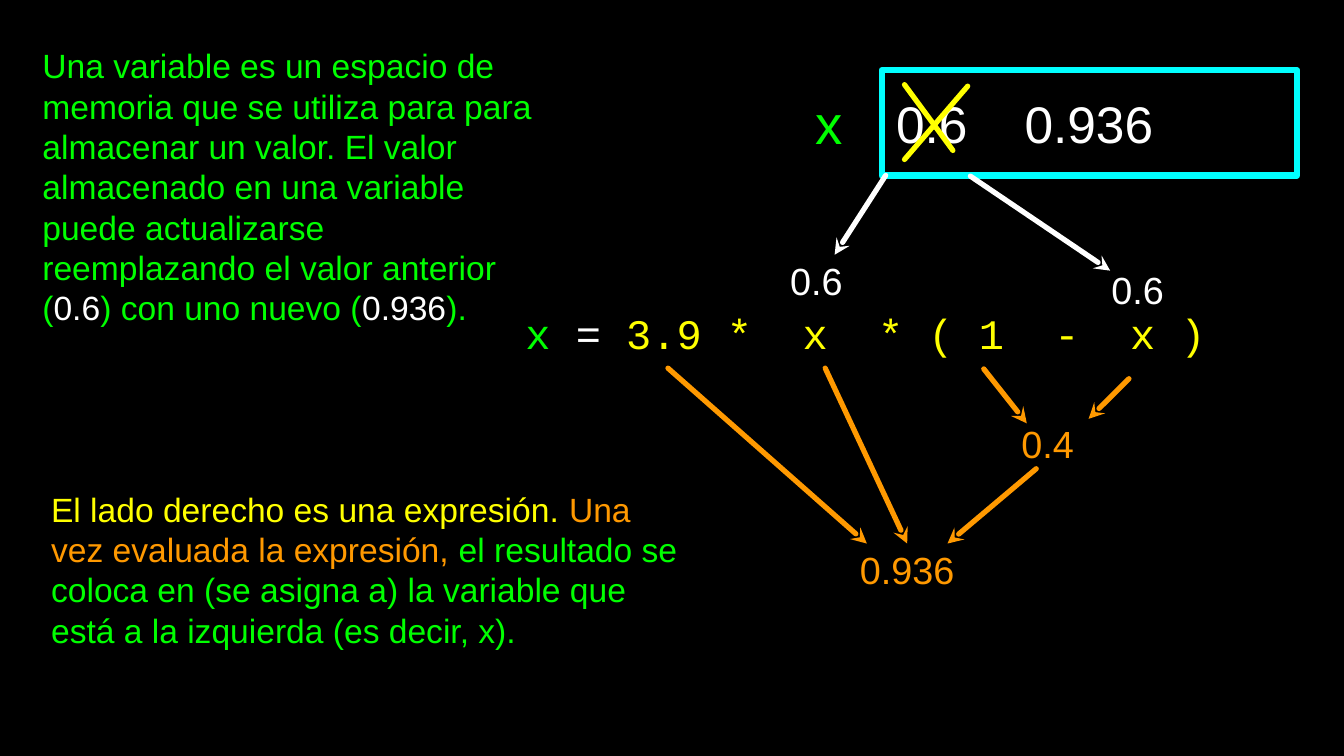
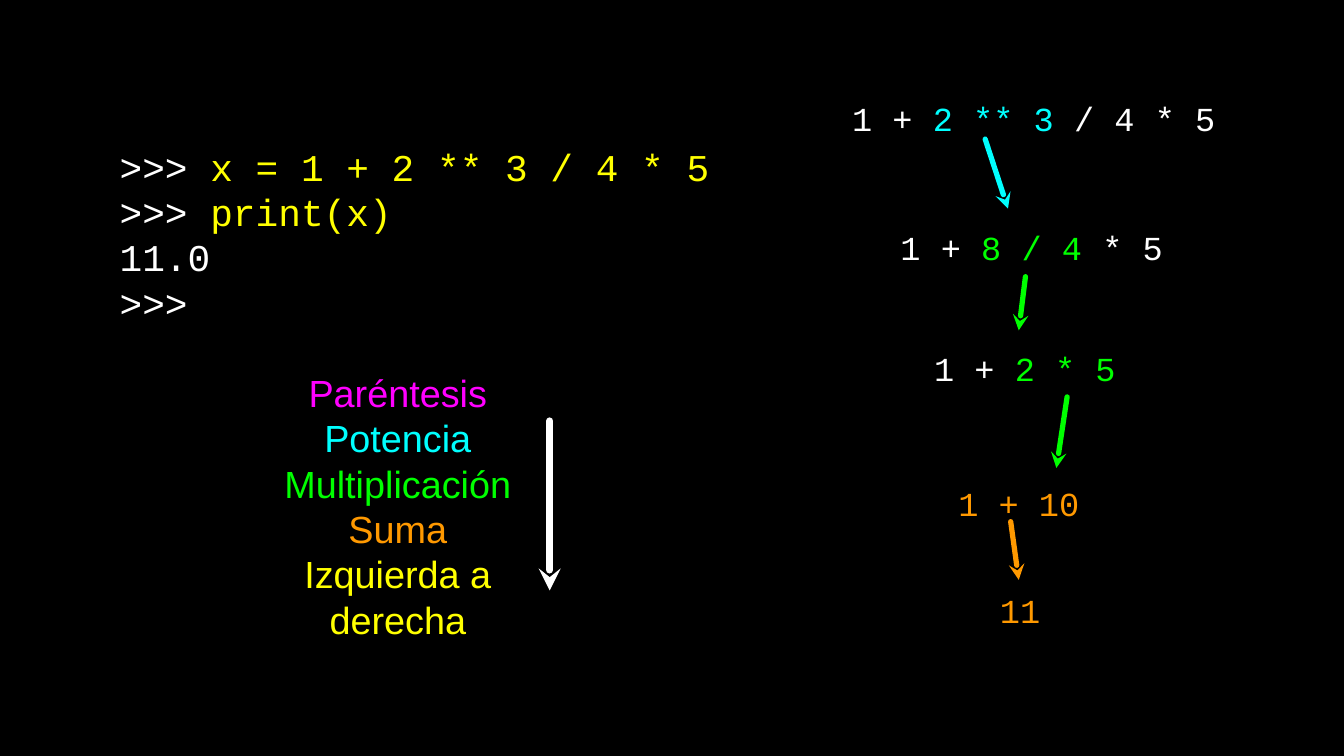
from dataclasses import dataclass
from typing import Any, NamedTuple

import pptx
import pptx.dml.color
import pptx.enum.shapes
import pptx.enum.text
import pptx.oxml
import pptx.oxml.ns
import pptx.util

Align = pptx.enum.text.PP_ALIGN
Anchor = pptx.enum.text.MSO_ANCHOR


@dataclass(frozen=True)
class Theme:
    black: str = "000000"
    white: str = "FFFFFF"
    green: str = "00FF00"
    yellow: str = "FFFF00"
    orange: str = "FF9900"
    cyan: str = "00FFFF"
    magenta: str = "FF00FF"
    prose_font: str = "Arial"
    code_font: str = "Courier New"
    body: int = 32
    value: int = 36
    expression: int = 40
    memory: int = 49
    name: int = 52
    leading: float = 1.2
    stroke: float = 5
    thick_stroke: float = 7
    frame_stroke: float = 6


THEME = Theme()
WIDTH, HEIGHT = 17.78, 10.0


class Span(NamedTuple):
    text: str
    color: str


class Area(NamedTuple):
    """Left, top, width and height in percent of the slide."""
    left: float
    top: float
    width: float
    height: float


class Inset(NamedTuple):
    """Text margins in inches."""
    left: float = 0
    top: float = 0
    right: float = 0
    bottom: float = 0


PLAIN = Inset()
CODE = Inset(top=0.1)


@dataclass(frozen=True)
class TextBlock:
    area: Area
    lines: list[list[Span]]
    size: int
    font: str = THEME.prose_font
    align: Align = Align.LEFT
    anchor: Anchor = Anchor.MIDDLE
    inset: Inset = PLAIN


@dataclass(frozen=True)
class Stroke:
    """A line in percent of the slide; the arrowhead sits at its tip."""
    tip: tuple[float, float]
    root: tuple[float, float]
    color: str = THEME.orange
    weight: float = THEME.stroke
    arrow: bool = True


def across(share: float) -> int:
    return pptx.util.Inches(WIDTH * share / 100)


def down(share: float) -> int:
    return pptx.util.Inches(HEIGHT * share / 100)


def rgb(color: str) -> pptx.dml.color.RGBColor:
    return pptx.dml.color.RGBColor.from_string(color)


def place(area: Area) -> tuple[int, int, int, int]:
    return across(area.left), down(area.top), across(area.width), down(area.height)


def fill_text(box: Any, block: TextBlock) -> None:
    frame = box.text_frame
    frame.word_wrap = True
    frame.vertical_anchor = block.anchor
    frame.margin_left, frame.margin_top, frame.margin_right, frame.margin_bottom = (
        pptx.util.Inches(margin) for margin in block.inset)
    for index, line in enumerate(block.lines):
        para = frame.add_paragraph() if index else frame.paragraphs[0]
        para.alignment = block.align
        para.line_spacing = pptx.util.Pt(block.size * THEME.leading)
        for span in line:
            run = para.add_run()
            run.text = span.text
            run.font.name = block.font
            run.font.size = pptx.util.Pt(block.size)
            run.font.color.rgb = rgb(span.color)


def draw_text(shapes: Any, block: TextBlock) -> None:
    fill_text(shapes.add_textbox(*place(block.area)), block)


def add_line_detail(line_xml: Any, tag: str, **attributes: str) -> None:
    detail = pptx.oxml.parse_xml(f"<a:{tag} {pptx.oxml.ns.nsdecls('a')}/>")
    for key, value in attributes.items():
        detail.set(key, value)
    line_xml.append(detail)


def draw_stroke(shapes: Any, stroke: Stroke) -> None:
    line = shapes.add_connector(
        pptx.enum.shapes.MSO_CONNECTOR.STRAIGHT,
        across(stroke.tip[0]), down(stroke.tip[1]),
        across(stroke.root[0]), down(stroke.root[1]))
    line.line.color.rgb = rgb(stroke.color)
    line.line.width = pptx.util.Pt(stroke.weight)
    properties = line._element.spPr
    line_xml = properties.find(pptx.oxml.ns.qn("a:ln"))
    line_xml.set("cap", "rnd")
    add_line_detail(line_xml, "round")
    if stroke.arrow:
        add_line_detail(line_xml, "headEnd", type="stealth", w="med", len="med")
    add_line_detail(properties, "effectLst")


def draw_memory_cell(shapes: Any, block: TextBlock, tab: float) -> None:
    """Framed cell whose second value starts at a tab stop."""
    cell = shapes.add_shape(pptx.enum.shapes.MSO_SHAPE.RECTANGLE, *place(block.area))
    cell.shadow.inherit = False
    cell.fill.background()
    cell.line.color.rgb = rgb(THEME.cyan)
    cell.line.width = pptx.util.Pt(THEME.frame_stroke)
    add_line_detail(cell._element.spPr.find(pptx.oxml.ns.qn("a:ln")), "round")
    fill_text(cell, block)
    stops = pptx.oxml.parse_xml(
        f"<a:tabLst {pptx.oxml.ns.nsdecls('a')}>"
        f'<a:tab pos="{pptx.util.Inches(tab)}" algn="l"/></a:tabLst>')
    cell.text_frame.paragraphs[0]._p.get_or_add_pPr().append(stops)


def value_label(text: str, color: str, left: float, top: float, width: float) -> TextBlock:
    return TextBlock(Area(left, top, width, 6.8), [[Span(text, color)]],
                     THEME.value, align=Align.CENTER)


def build_assignment(page: Any) -> None:
    white, green, yellow, orange = THEME.white, THEME.green, THEME.yellow, THEME.orange
    shapes = page.shapes

    # Statement and the memory cell of the variable
    draw_text(shapes, TextBlock(
        Area(39.1, 37.2, 54.4, 12.6),
        [[Span("x ", green), Span("= ", white), Span("3.9 *  x  * ( 1  -  x )", yellow)]],
        THEME.expression, THEME.code_font, inset=CODE))
    draw_memory_cell(shapes, TextBlock(
        Area(65.6, 9.3, 30.9, 13.9), [[Span("0.6\t0.936", white)]],
        THEME.memory, inset=Inset(left=0.19)), tab=1.7)
    draw_text(shapes, TextBlock(Area(60.3, 11.5, 2.8, 9.4), [[Span("x", green)]],
                                THEME.name, align=Align.CENTER))

    # Values read and computed
    for label in (
        value_label("0.4", orange, 74.7, 55.3, 6.5),
        value_label("0.936", orange, 62.2, 71.9, 10.6),
        value_label("0.6", white, 58.0, 33.7, 5.5),
        value_label("0.6", white, 81.4, 34.9, 6.5),
    ):
        draw_text(shapes, label)

    # Evaluation arrows, reading arrows and the crossed-out value
    for stroke in (
        Stroke((70.5, 71.9), (77.1, 62.0)),
        Stroke((81.0, 55.4), (84.0, 50.1)),
        Stroke((76.4, 56.0), (73.2, 48.8)),
        Stroke((64.5, 71.9), (49.7, 48.7)),
        Stroke((67.5, 71.9), (61.4, 48.7)),
        Stroke((62.1, 33.7), (65.9, 23.2), white),
        Stroke((82.6, 35.8), (72.2, 23.3), white),
        Stroke((72.0, 11.4), (67.3, 21.1), yellow, arrow=False),
        Stroke((67.3, 11.2), (70.9, 19.9), yellow, arrow=False),
    ):
        draw_stroke(shapes, stroke)

    # Explanations
    draw_text(shapes, TextBlock(
        Area(2.6, 5.5, 37.6, 35.9),
        [[Span("Una variable es un espacio de memoria que se utiliza para para almacenar "
               "un valor. El valor almacenado en una variable puede actualizarse "
               "reemplazando el valor anterior (", green),
          Span("0.6", white), Span(") con uno nuevo (", green),
          Span("0.936", white), Span(").", green)]],
        THEME.body, anchor=Anchor.TOP, inset=Inset(0.1, 0.05, 0.1, 0.05)))
    draw_text(shapes, TextBlock(
        Area(3.8, 64.0, 47.1, 22.6),
        [[Span("El lado derecho es una expresión. ", yellow),
          Span("Una vez evaluada la expresión, ", orange),
          Span("el resultado se coloca en (se asigna a) la variable que está a la "
               "izquierda (es decir, x).", green)]],
        THEME.body))


def build_precedence(page: Any) -> None:
    white, green, yellow, orange = THEME.white, THEME.green, THEME.yellow, THEME.orange
    shapes = page.shapes

    # Step-by-step reduction: left, top, width, spans
    steps = (
        (63.4, 10.8, 28.5, [Span("1 + ", white), Span("2 ** 3", THEME.cyan),
                            Span(" / 4 * 5", white)]),
        (67.0, 27.8, 24.9, [Span("1 + ", white), Span("8 / 4", green),
                            Span(" * 5", white)]),
        (69.5, 43.8, 19.8, [Span("1 + ", white), Span("2 * 5", green)]),
        (71.3, 61.7, 13.9, [Span("1 + 10", orange)]),
        (74.4, 75.8, 4.4, [Span("11", orange)]),
    )
    for left, top, width, spans in steps:
        draw_text(shapes, TextBlock(Area(left, top, width, 8.7), [spans],
                                    THEME.body, THEME.code_font, inset=CODE))
    for stroke in (
        Stroke((75.0, 27.6), (73.3, 18.4), THEME.cyan),
        Stroke((75.8, 43.7), (76.3, 36.6), green),
        Stroke((78.6, 61.9), (79.4, 52.5), green),
        Stroke((75.8, 76.7), (75.2, 69.0)),
    ):
        draw_stroke(shapes, stroke)

    # Console session
    prompt = Span(">>> ", white)
    draw_text(shapes, TextBlock(
        Area(8.9, 14.3, 45.2, 32.3),
        [[prompt, Span("x = 1 + 2 ** 3 / 4 * 5", yellow)],
         [prompt, Span("print(x)", yellow)],
         [Span("11.0", white)],
         [Span(">>>", white)]],
        THEME.value, THEME.code_font, inset=CODE))

    # Order of precedence with its downward arrow
    ranking = shapes.add_group_shape().shapes
    levels = (Span("Paréntesis", THEME.magenta), Span("Potencia", THEME.cyan),
              Span("Multiplicación", green), Span("Suma", orange),
              Span("Izquierda a derecha", yellow))
    draw_text(ranking, TextBlock(Area(20.4, 50.4, 18.4, 33.0),
                                 [[level] for level in levels],
                                 THEME.value, align=Align.CENTER))
    draw_stroke(ranking, Stroke((40.9, 78.1), (40.9, 55.7), white, THEME.thick_stroke))


def main() -> None:
    deck = pptx.Presentation()
    deck.slide_width = pptx.util.Inches(WIDTH)
    deck.slide_height = pptx.util.Inches(HEIGHT)
    backdrop = deck.slide_master.background.fill
    backdrop.solid()
    backdrop.fore_color.rgb = rgb(THEME.black)
    for build in (build_assignment, build_precedence):
        build(deck.slides.add_slide(deck.slide_layouts[6]))
    deck.save("out.pptx")


if __name__ == "__main__":
    main()
